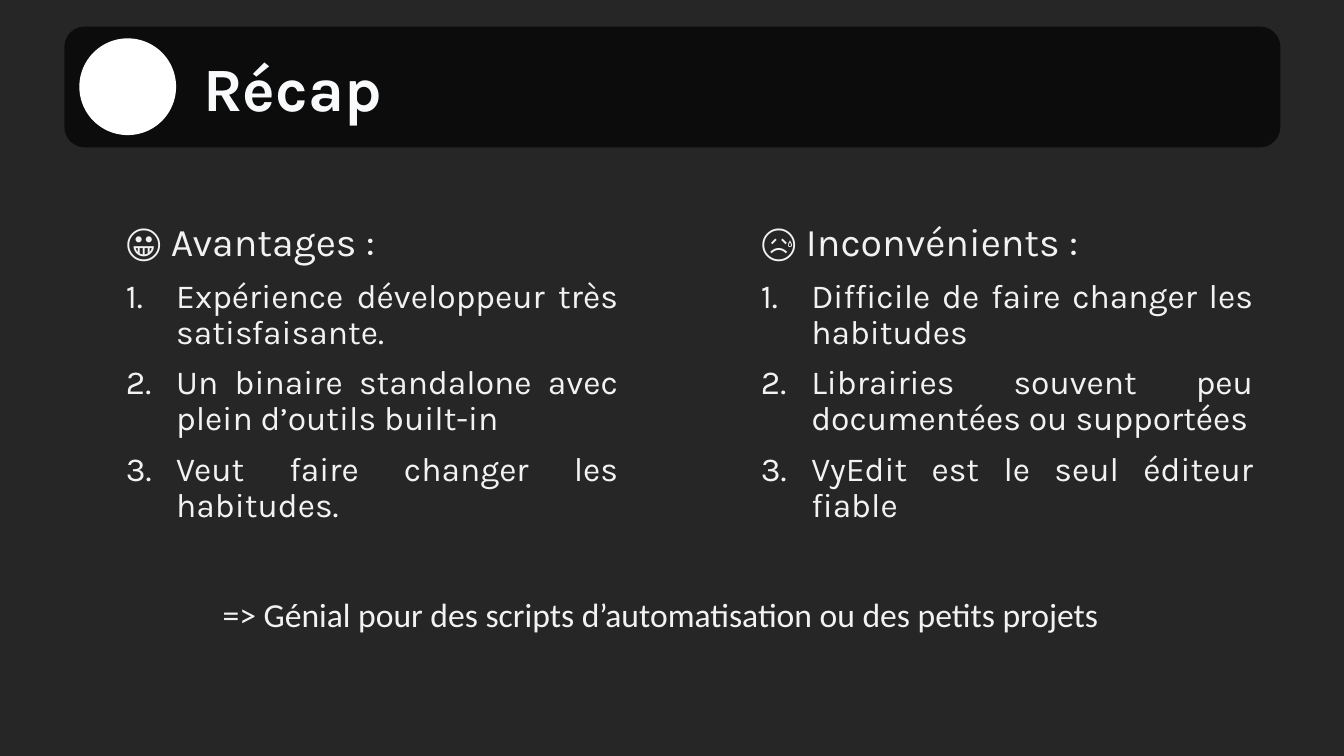
from lxml import etree
from pptx import Presentation
from pptx.dml.color import RGBColor
from pptx.enum import shapes, text
from pptx.oxml import ns
from pptx.util import Pt

BACKGROUND = RGBColor(0x26, 0x26, 0x26)
BANNER = RGBColor(0x0C, 0x0C, 0x0C)
WHITE = RGBColor(0xFF, 0xFF, 0xFF)
TITLE = RGBColor(0xF9, 0xFA, 0xFB)
BODY = RGBColor(0xF2, 0xF2, 0xF2)

COLUMN_TOP, COLUMN_WIDTH, COLUMN_HEIGHT = 155.5, 365.8, 260
ADVANTAGES_LEFT, DRAWBACKS_LEFT = 82.8, 536.4
NUMBER_INDENT = Pt(36)


def add_panel(slide, preset, left, top, width, height, color):
    panel = slide.shapes.add_shape(preset, Pt(left), Pt(top), Pt(width), Pt(height))
    panel.shadow.inherit = False
    panel.fill.solid()
    panel.fill.fore_color.rgb = color
    panel.line.fill.background()


def add_text_frame(slide, left, top, width, height):
    frame = slide.shapes.add_textbox(Pt(left), Pt(top), Pt(width), Pt(height)).text_frame
    frame.word_wrap = True
    return frame


def write(paragraph, wording, size, color=BODY, font="Karla", spacing=0.9):
    paragraph.text = wording
    paragraph.line_spacing = spacing
    paragraph.font.name = font
    paragraph.font.size = Pt(size)
    paragraph.font.color.rgb = color


def justify(paragraph):
    paragraph.alignment = text.PP_ALIGN.JUSTIFY
    paragraph.space_before = Pt(10)


def number(paragraph):
    """Turn the paragraph into an automatically numbered item."""
    properties = paragraph._p.get_or_add_pPr()
    properties.set("marL", str(NUMBER_INDENT))
    properties.set("indent", str(-NUMBER_INDENT))
    numbering = etree.Element(ns.qn("a:buAutoNum"), type="arabicPeriod")
    defaults = properties.find(ns.qn("a:defRPr"))
    defaults.addprevious(numbering)


def add_column(slide, left, heading, points):
    frame = add_text_frame(slide, left, COLUMN_TOP, COLUMN_WIDTH, COLUMN_HEIGHT)
    write(frame.paragraphs[0], heading, 28)
    justify(frame.paragraphs[0])
    for point in points:
        item = frame.add_paragraph()
        write(item, point, 24)
        justify(item)
        number(item)


def add_banner(slide, wording):
    add_panel(slide, shapes.MSO_SHAPE.ROUNDED_RECTANGLE, 46, 19, 868.5, 86.2, BANNER)
    add_panel(slide, shapes.MSO_SHAPE.OVAL, 56.7, 27.4, 69.1, 69.1, WHITE)
    frame = add_text_frame(slide, 138.2, 31.7, 763.9, 61.2)
    frame.vertical_anchor = text.MSO_ANCHOR.BOTTOM
    title = frame.paragraphs[0]
    write(title, wording, 44, TITLE)
    title.font.bold = True


def add_conclusion(slide, wording):
    conclusion = add_text_frame(slide, 151.9, 426.2, 655.9, 31).paragraphs[0]
    write(conclusion, wording, 24, font="Calibri", spacing=0.8)
    justify(conclusion)


def main():
    deck = Presentation()
    deck.slide_width, deck.slide_height = Pt(960), Pt(540)
    slide = deck.slides.add_slide(deck.slide_layouts[6])
    slide.background.fill.solid()
    slide.background.fill.fore_color.rgb = BACKGROUND

    add_banner(slide, "Récap")
    add_column(slide, ADVANTAGES_LEFT, "😀 Avantages :", [
        "Expérience développeur très satisfaisante.",
        "Un binaire standalone avec plein d’outils built-in",
        "Veut faire changer les habitudes.",
    ])
    add_column(slide, DRAWBACKS_LEFT, "😥 Inconvénients :", [
        "Difficile de faire changer les habitudes",
        "Librairies souvent peu documentées ou supportées",
        "VyEdit est le seul éditeur fiable",
    ])
    add_conclusion(slide, "=> Génial pour des scripts d’automatisation ou des petits projets")
    deck.save("out.pptx")


if __name__ == "__main__":
    main()
